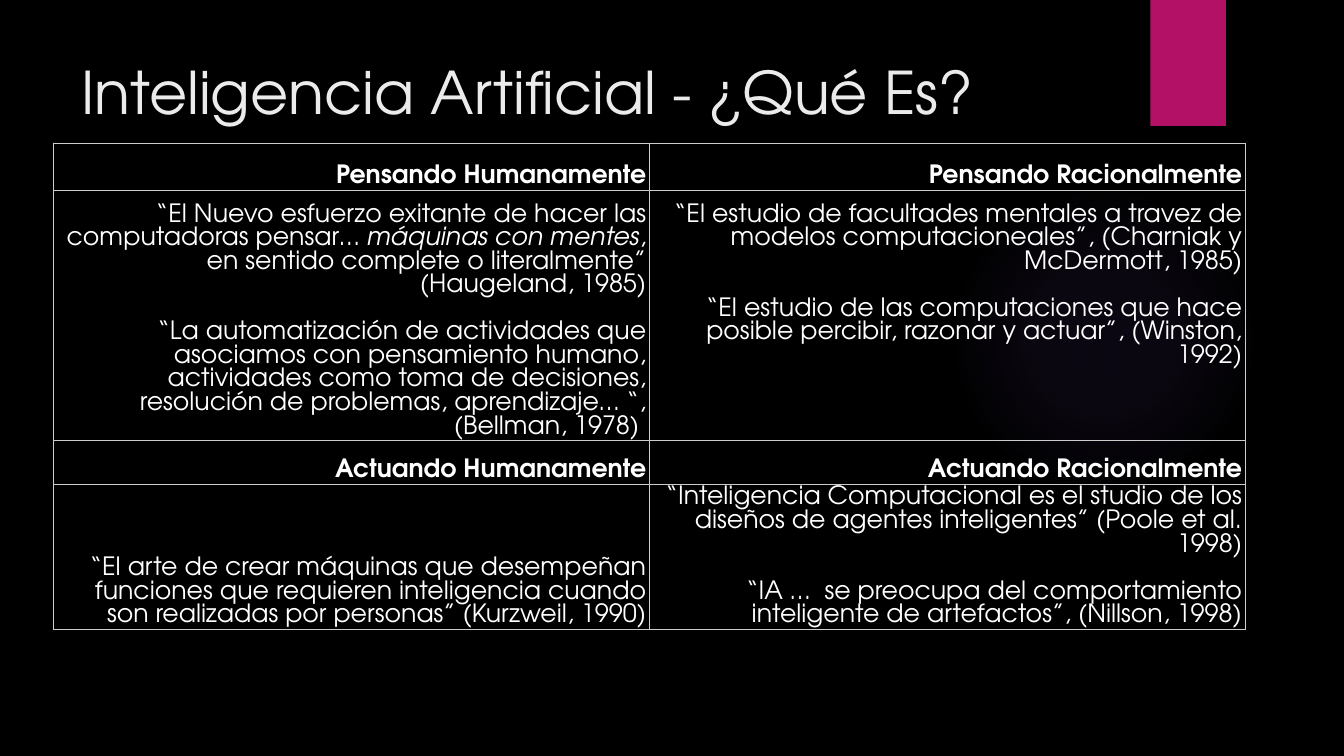
from lxml.etree import SubElement
from pptx import Presentation
from pptx.dml.color import RGBColor
from pptx.enum.shapes import MSO_SHAPE
from pptx.enum.text import MSO_ANCHOR, PP_ALIGN
from pptx.oxml import parse_xml
from pptx.oxml.ns import nsdecls, qn
from pptx.util import Inches, Pt

FONT = "TeX Gyre Adventor"
LINE_PITCH = 16.8

# Each quadrant: heading, then quotes made of (text, italic) runs
QUADRANTS = [
    [
        ("Pensando Humanamente", [
            [("“El Nuevo esfuerzo exitante de hacer las computadoras pensar… ", False),
             ("máquinas con mentes", True),
             (", en sentido complete o literalmente” (Haugeland, 1985)", False)],
            [("“La automatización de actividades que asociamos con pensamiento humano, "
              "actividades como toma de decisiones, resolución de problemas, "
              "aprendizaje… “, (Bellman, 1978) ", False)],
        ]),
        ("Pensando Racionalmente", [
            [("“El estudio de facultades mentales a travez de modelos "
              "computacioneales”, (Charniak y McDermott, 1985)", False)],
            [("“El estudio de las computaciones que hace posible percibir, "
              "razonar y actuar”, (Winston, 1992)", False)],
        ]),
    ],
    [
        ("Actuando Humanamente", [
            [("“El arte de crear máquinas que desempeñan funciones que requieren "
              "inteligencia cuando son realizadas por personas” (Kurzweil, 1990)", False)],
        ]),
        ("Actuando Racionalmente", [
            [("“Inteligencia Computacional es el studio de los diseños de agentes "
              "inteligentes” (Poole et al. 1998)", False)],
            [("“IA …  se preocupa del comportamiento inteligente de artefactos”, "
              "(Nillson, 1998)", False)],
        ]),
    ],
]


def color(hex_code):
    return RGBColor.from_string(hex_code)


def add_text(paragraph, text, size=18, ink="FFFFFF", bold=False, italic=False):
    run = paragraph.add_run()
    run.text = text
    run.font.name = FONT
    run.font.size = Pt(size)
    run.font.color.rgb = color(ink)
    run.font.bold = bold
    run.font.italic = italic


def add_block(slide, kind, left, top, width, height):
    block = slide.shapes.add_shape(
        kind, Inches(left), Inches(top), Inches(width), Inches(height))
    block.shadow.inherit = False
    block.line.fill.background()
    return block


def add_backdrop(slide, width):
    slide.background.fill.solid()
    slide.background.fill.fore_color.rgb = color("000000")

    # Faint violet glow, fading out from its centre
    glow = add_block(slide, MSO_SHAPE.OVAL, width - 3.92, 1.83, 3.08, 3.08)
    stops = "".join(
        f'<a:gs pos="{place * 1000}"><a:srgbClr val="9B6BF2">'
        f'<a:alpha val="{alpha * 1000}"/></a:srgbClr></a:gs>'
        for place, alpha in ((0, 7), (36, 6), (69, 0)))
    gradient = parse_xml(
        f'<a:gradFill {nsdecls("a")} rotWithShape="1"><a:gsLst>{stops}</a:gsLst>'
        '<a:path path="circle"><a:fillToRect l="50000" t="50000" r="50000" b="50000"/>'
        '</a:path></a:gradFill>')
    glow.element.spPr.find(qn("a:prstGeom")).addnext(gradient)

    # Magenta tab hanging from the top edge
    tab = add_block(slide, MSO_SHAPE.RECTANGLE, width - 1.92, 0, 0.75, 1.25)
    tab.fill.solid()
    tab.fill.fore_color.rgb = color("B31166")


def add_title(slide, left, top, width, height):
    title = slide.shapes.add_textbox(
        Inches(left), Inches(top), Inches(width), Inches(height)).text_frame
    title.word_wrap = True
    title.vertical_anchor = MSO_ANCHOR.TOP
    add_text(title.paragraphs[0], "Inteligencia Artificial - ¿Qué Es?",
             size=42, ink="EBEBEB")


def style_cell(cell, anchor, top_inset):
    cell.margin_left = cell.margin_right = Inches(0.03)
    cell.margin_top, cell.margin_bottom = Inches(top_inset), Inches(0.02)
    cell.vertical_anchor = anchor
    properties = cell._tc.get_or_add_tcPr()
    for side in ("lnL", "lnR", "lnT", "lnB"):
        border = SubElement(properties, qn(f"a:{side}"), w=str(Pt(0.75)))
        fill = SubElement(border, qn("a:solidFill"))
        SubElement(fill, qn("a:srgbClr"), val="CCCCCC")
    cell.fill.background()


def fill_cell(cell, quotes, bold=False, anchor=MSO_ANCHOR.BOTTOM, top_inset=0.02):
    style_cell(cell, anchor, top_inset)
    for index, quote in enumerate(quotes):
        frame = cell.text_frame
        paragraph = frame.add_paragraph() if index else frame.paragraphs[0]
        paragraph.alignment = PP_ALIGN.RIGHT
        paragraph.line_spacing = Pt(LINE_PITCH)
        if index:
            paragraph.space_before = Pt(LINE_PITCH)
        for text, italic in quote:
            add_text(paragraph, text, bold=bold, italic=italic)


def add_quadrants(slide, left, top, width, row_heights):
    grid = slide.shapes.add_table(
        len(row_heights), 2, Inches(left), Inches(top),
        Inches(width), Inches(sum(row_heights))).table
    grid.first_row = grid.horz_banding = False
    for row, height in zip(grid.rows, row_heights):
        row.height = Inches(height)
    for band, quadrants in enumerate(QUADRANTS):
        # The upper quotes start level with each other
        placing = {} if band else {"anchor": MSO_ANCHOR.TOP, "top_inset": 0.13}
        for column, (heading, quotes) in enumerate(quadrants):
            fill_cell(grid.cell(2 * band, column), [[(heading, False)]], bold=True)
            fill_cell(grid.cell(2 * band + 1, column), quotes, **placing)


def main():
    deck = Presentation()
    deck.slide_width, deck.slide_height = Inches(13.33), Inches(7.5)
    slide = deck.slides.add_slide(deck.slide_layouts[6])
    add_backdrop(slide, 13.33)
    add_title(slide, 0.71, 0.5, 10.59, 1.53)
    add_quadrants(slide, 0.53, 1.42, 11.82, [0.47, 2.48, 0.43, 1.44])
    deck.save("out.pptx")


if __name__ == "__main__":
    main()
